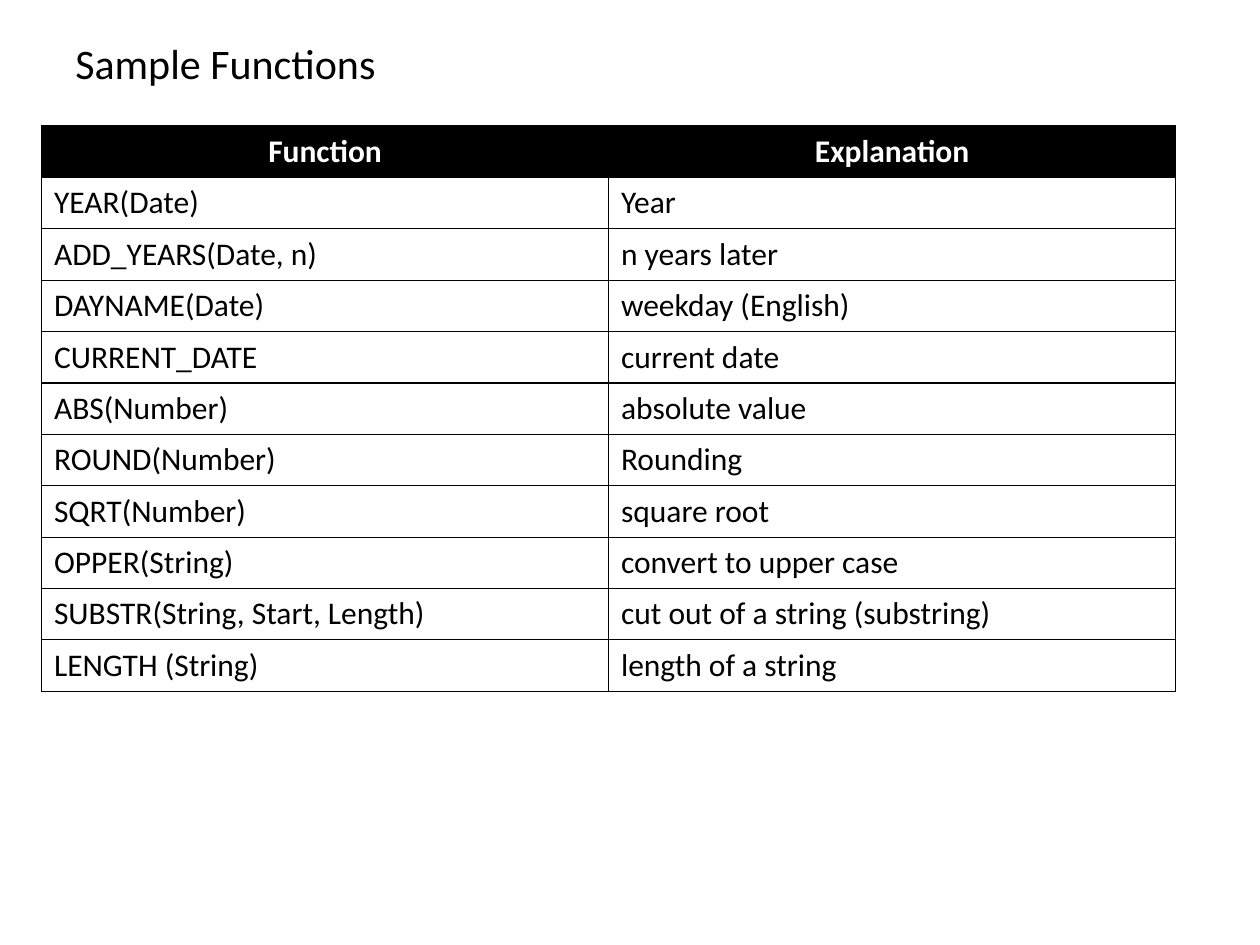
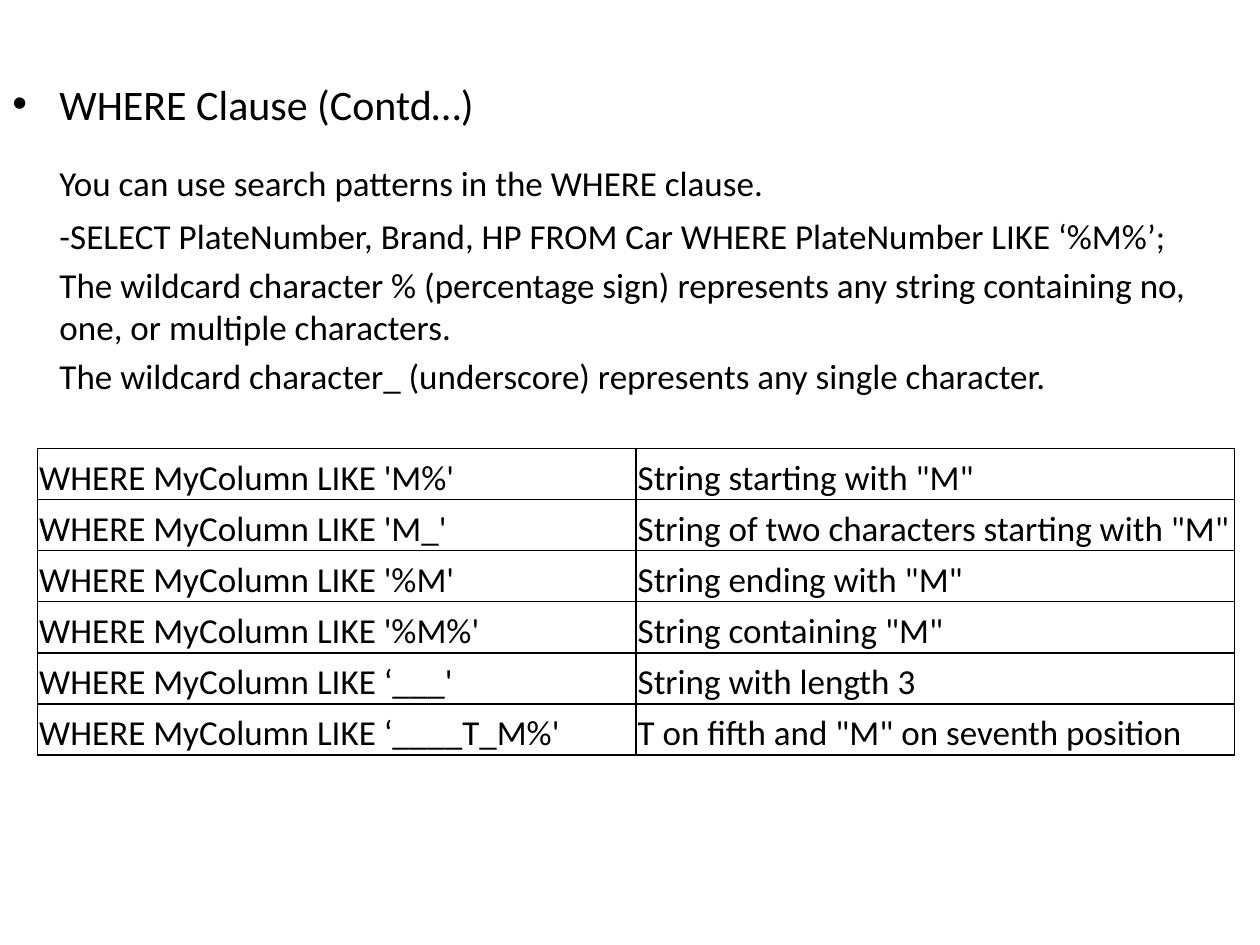
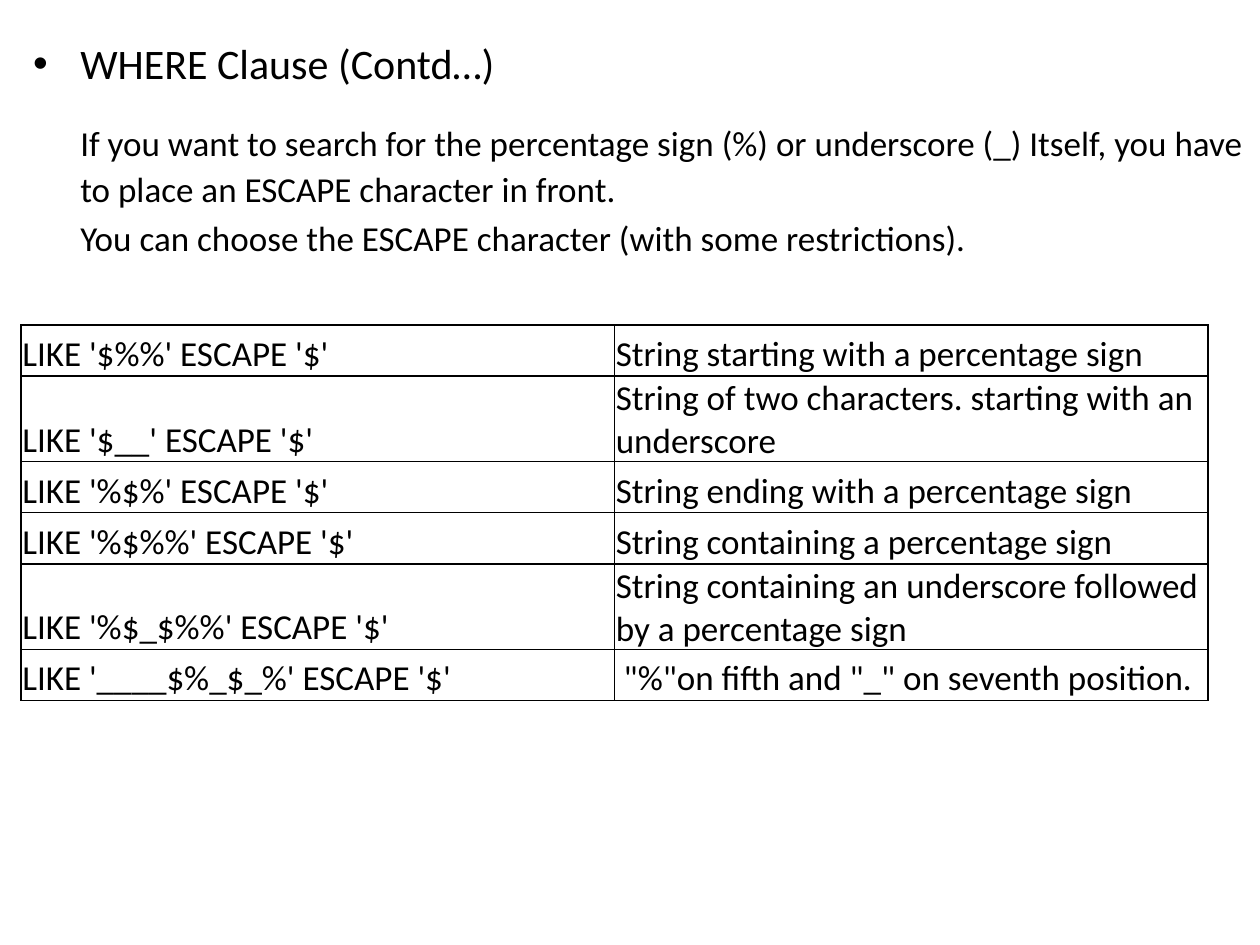
from lxml import etree
from pptx import Presentation
from pptx.dml.color import RGBColor
from pptx.enum.text import MSO_ANCHOR, PP_ALIGN
from pptx.oxml.ns import qn
from pptx.util import Cm, Pt

LEFT, CENTER = PP_ALIGN.LEFT, PP_ALIGN.CENTER
TOP, BOTTOM = MSO_ANCHOR.TOP, MSO_ANCHOR.BOTTOM

# Shared style
FONT = "Calibri"
BLACK, WHITE = "000000", "FFFFFF"
HEADING_SIZE, BODY_SIZE, CELL_SIZE = 24, 20, 18
ROW_HEIGHT = 1.03
INDENT = 0.95
LEAD_SPACING = 26
CELL_PADDING = {"margin_left": Cm(0.25), "margin_right": Cm(0.25),
                "margin_top": Cm(0.13), "margin_bottom": Cm(0.13),
                "vertical_anchor": TOP}
TIGHT_PADDING = {"margin_left": Cm(0.03), "margin_right": Cm(0.03),
                 "margin_top": Cm(0.03), "margin_bottom": Cm(0),
                 "vertical_anchor": BOTTOM}

# Slide contents
FUNCTIONS = [
    ("Function", "Explanation"),
    ("YEAR(Date)", "Year"),
    ("ADD_YEARS(Date, n)", "n years later"),
    ("DAYNAME(Date)", "weekday (English)"),
    ("CURRENT_DATE", "current date"),
    ("ABS(Number)", "absolute value"),
    ("ROUND(Number)", "Rounding"),
    ("SQRT(Number)", "square root"),
    ("OPPER(String)", "convert to upper case"),
    ("SUBSTR(String, Start, Length)", "cut out of a string (substring)"),
    ("LENGTH (String)", "length of a string"),
]
WHERE_HEADING = "WHERE Clause (Contd…)"
# Each body line is paired with the space before it in points
PATTERN_LINES = [
    ("You can use search patterns in the WHERE clause.", 17),
    ("-SELECT PlateNumber, Brand, HP FROM Car WHERE PlateNumber LIKE ‘%M%’;", 6),
    ("The wildcard character % (percentage sign) represents any string "
     "containing no, one, or multiple characters.", 4),
    ("The wildcard character_ (underscore) represents any single character.", 4),
]
PATTERNS = [
    ("WHERE MyColumn LIKE 'M%'", 'String starting with "M"'),
    ("WHERE MyColumn LIKE 'M_'", 'String of two characters starting with "M"'),
    ("WHERE MyColumn LIKE '%M'", 'String ending with "M"'),
    ("WHERE MyColumn LIKE '%M%'", 'String containing "M"'),
    ("WHERE MyColumn LIKE ‘___'", "String with length 3"),
    ("WHERE MyColumn LIKE ‘____T_M%'", 'T on fifth and "M" on seventh position'),
]
ESCAPE_LINES = [
    ("If you want to search for the percentage sign (%) or underscore (_) "
     "Itself, you have to place an ESCAPE character in front.", 17),
    ("You can choose the ESCAPE character (with some restrictions).", 4),
]
ESCAPES = [
    ("LIKE '$%%' ESCAPE '$'", "String starting with a percentage sign"),
    ("LIKE '$__' ESCAPE '$'", "String of two characters. starting with an underscore"),
    ("LIKE '%$%' ESCAPE '$'", "String ending with a percentage sign"),
    ("LIKE '%$%%' ESCAPE '$'", "String containing a percentage sign"),
    ("LIKE '%$_$%%' ESCAPE '$'",
     "String containing an underscore followed by a percentage sign"),
    ("LIKE '____$%_$_%' ESCAPE '$'", ' "%"on fifth and "_" on seventh position.'),
]


def color(value):
    return RGBColor.from_string(value)


def set_values(target, values):
    for name, value in values.items():
        setattr(target, name, value)


class Deck:
    """Holds the presentation, its style and the current slide."""

    def __init__(self):
        self.presentation = Presentation()
        set_values(self.presentation, {"slide_width": Cm(25.4), "slide_height": Cm(19.05)})
        self.slide = None

    def add_slide(self):
        self.slide = self.presentation.slides.add_slide(self.presentation.slide_layouts[6])

    def add_text(self, paragraph, text, size, ink=BLACK, bold=False, **layout):
        run = paragraph.add_run()
        run.text = text
        set_values(run.font, {"name": FONT, "size": Pt(size), "bold": bold})
        run.font.color.rgb = color(ink)
        set_values(paragraph, layout)

    def text_box(self, left, top, width, height):
        box = self.slide.shapes.add_textbox(Cm(left), Cm(top), Cm(width), Cm(height))
        box.text_frame.word_wrap = True
        return box.text_frame

    def title(self, text):
        frame = self.text_box(1.27, 0.64, 19.89, 1.27)
        self.add_text(frame.paragraphs[0], text, HEADING_SIZE)

    def bullet(self, paragraph):
        properties = paragraph._p.get_or_add_pPr()
        properties.set("indent", str(-Cm(INDENT)))
        etree.SubElement(properties, qn("a:buFont"), typeface="Arial")
        etree.SubElement(properties, qn("a:buChar"), char="•")

    def body(self, heading, lines, left, top, width, height):
        frame = self.text_box(left, top, width, height)
        self.add_text(frame.paragraphs[0], heading, HEADING_SIZE)
        for text, space in lines:
            self.add_text(frame.add_paragraph(), text, BODY_SIZE, space_before=Pt(space))
        for paragraph in frame.paragraphs:
            paragraph._p.get_or_add_pPr().set("marL", str(Cm(INDENT)))
        self.bullet(frame.paragraphs[0])
        frame.paragraphs[1].line_spacing = Pt(LEAD_SPACING)

    def borders(self, cell, horizontal):
        properties = cell._tc.get_or_add_tcPr()
        for side in "LRTB":
            width = Pt(1) if side in "LR" else Pt(horizontal)
            line = etree.SubElement(properties, qn("a:ln" + side), w=str(width))
            fill = etree.SubElement(line, qn("a:solidFill"))
            etree.SubElement(fill, qn("a:srgbClr"), val=BLACK)

    def table(self, rows, left, top, width, size=BODY_SIZE, padding=TIGHT_PADDING,
              horizontal=1, header=False):
        table = self.slide.shapes.add_table(
            len(rows), len(rows[0]), Cm(left), Cm(top), Cm(width),
            Cm(ROW_HEIGHT * len(rows))).table
        set_values(table, {"first_row": header, "horz_banding": False})
        for row_index, texts in enumerate(rows):
            is_header = header and row_index == 0
            for column_index, text in enumerate(texts):
                cell = table.cell(row_index, column_index)
                set_values(cell, padding)
                self.borders(cell, horizontal)
                if is_header:
                    cell.fill.solid()
                    cell.fill.fore_color.rgb = color(BLACK)
                else:
                    cell.fill.background()
                self.add_text(cell.text_frame.paragraphs[0], text, size,
                              WHITE if is_header else BLACK, is_header,
                              alignment=CENTER if is_header else LEFT)


def main():
    deck = Deck()

    # Sample functions
    deck.add_slide()
    deck.table(FUNCTIONS, 0.84, 2.54, 22.86, CELL_SIZE, CELL_PADDING, 0.75, header=True)
    deck.title("Sample Functions")

    # Search patterns
    deck.add_slide()
    deck.body(WHERE_HEADING, PATTERN_LINES, 0, 1.45, 25.4, 6.99)
    deck.table(PATTERNS, 0.76, 9.04, 24.13)

    # Escape characters
    deck.add_slide()
    deck.table(ESCAPES, 0.42, 6.55, 23.93)
    deck.body(WHERE_HEADING, ESCAPE_LINES, 0.42, 0.64, 24.98, 6.35)

    deck.presentation.save("out.pptx")


if __name__ == "__main__":
    main()
